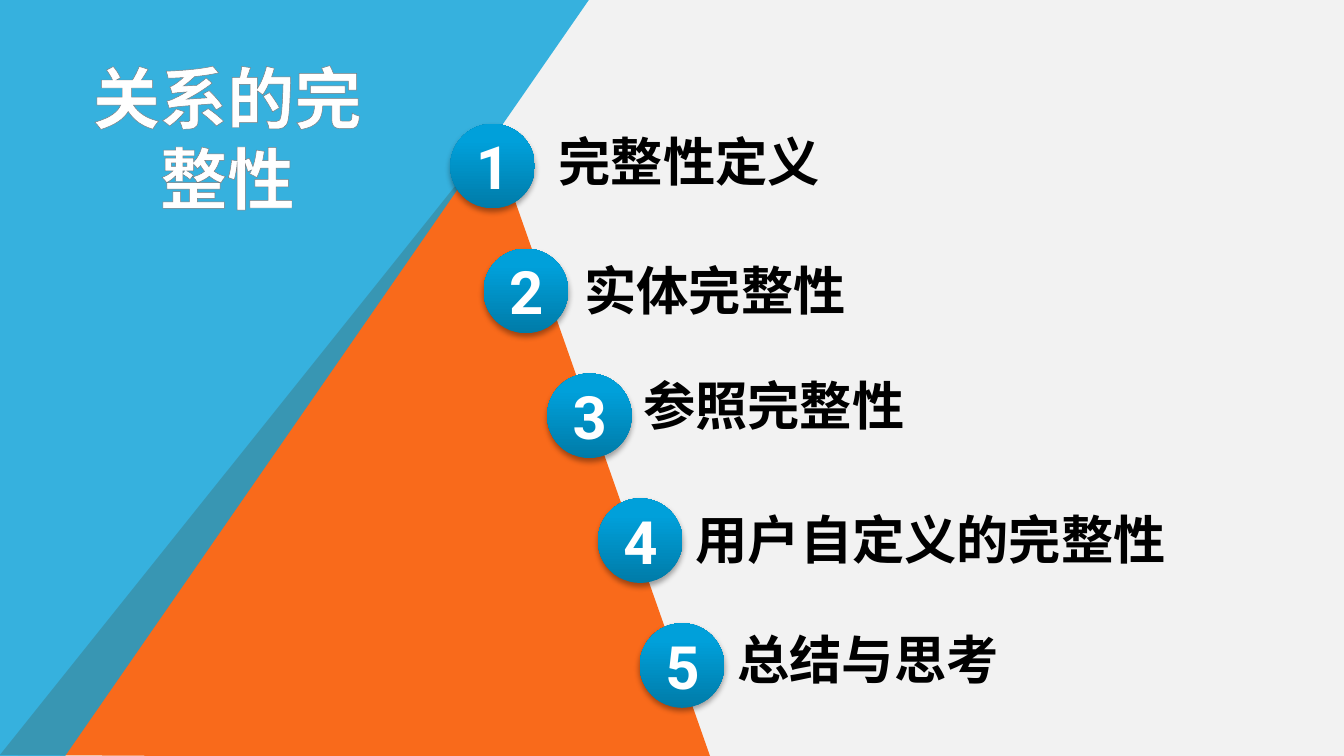
from copy import deepcopy

from lxml import etree
from pptx import Presentation
from pptx.dml.color import RGBColor
from pptx.enum.shapes import MSO_SHAPE
from pptx.enum.text import MSO_ANCHOR, PP_ALIGN
from pptx.oxml import parse_xml
from pptx.oxml.ns import qn
from pptx.util import Cm, Pt

OVAL = MSO_SHAPE.OVAL
MIDDLE = MSO_ANCHOR.MIDDLE
CENTER = PP_ALIGN.CENTER
LEFT = PP_ALIGN.LEFT
NAMESPACE = 'xmlns:a="http://schemas.openxmlformats.org/drawingml/2006/main"'

# Content: title, then (text, circle left, label left, label top, label width) in cm
TITLE = "关系的完整性"
TOPICS = [
    ("完整性定义", 8.51, 10.31, 2.31, 7.39),
    ("实体完整性", 9.14, 10.8, 4.75, 5.69),
    ("参照完整性", 10.34, 11.91, 6.93, 7.01),
    ("用户自定义的完整性", 11.3, 12.9, 9.47, 9.8),
    ("总结与思考", 12.09, 13.69, 11.73, 5.59),
]
ORANGE_PEAK = [(0, 14.27), (9.32, 2.62), (13.44, 14.35)]
BLUE_PANEL = [(-0.03, 14.38), (-0.03, -0.03), (11.15, -0.03), (1.19, 14.35)]

SLIDE_WIDTH, SLIDE_HEIGHT = 25.4, 14.29
CIRCLE_SIZE, CIRCLE_TOP, CIRCLE_STEP = 1.6, 2.34, 2.36
LABEL_HEIGHT = 1.45


class Theme:
    background = "F2F2F2"
    orange = "F96A1B"
    blue = "08A1D9"
    blue_opacity = 80
    circle_stops = [(0, "007BA8"), (0.8, "00A0DA"), (1, "00A0DB")]
    white = "FFFFFF"
    black = "000000"
    title_outline = "797B7E"
    title_font = "Noto Sans CJK JP"
    label_font = "Noto Sans CJK SC"
    number_font = "Roboto"
    title_size = 36
    number_size = 32
    label_size = 28


def color(value):
    return RGBColor.from_string(value)


def add_panel(slide, points, fill):
    corners = [(Cm(x), Cm(y)) for x, y in points]
    builder = slide.shapes.build_freeform(*corners[0])
    builder.add_line_segments(corners[1:], close=True)
    shape = builder.convert_to_shape()
    shape.shadow.inherit = False
    shape.fill.solid()
    shape.fill.fore_color.rgb = color(fill)
    shape.line.fill.background()
    return shape


def write(shape, text, font_name, size, fill, alignment=LEFT):
    text_frame = shape.text_frame
    text_frame.word_wrap = True
    text_frame.text = text
    paragraph = text_frame.paragraphs[0]
    paragraph.alignment = alignment
    run = paragraph.runs[0]
    run.font.name = font_name
    run.font.size = Pt(size)
    run.font.bold = True
    run.font.color.rgb = color(fill)
    properties = run.font._element
    etree.SubElement(properties, qn("a:ea"), typeface=font_name)
    return properties


def add_text(slide, left, top, width, height, *style):
    box = slide.shapes.add_textbox(Cm(left), Cm(top), Cm(width), Cm(height))
    return write(box, *style)


def add_circle(slide, left, top, number):
    circle = slide.shapes.add_shape(
        OVAL, Cm(left), Cm(top), Cm(CIRCLE_SIZE), Cm(CIRCLE_SIZE))
    circle.line.fill.background()

    # Three-stop gradient, dark at the bottom
    circle.fill.gradient()
    circle.fill.gradient_angle = 90
    stop_list = circle._element.spPr.find(".//" + qn("a:gsLst"))
    stop_list.append(deepcopy(stop_list[-1]))
    for stop, (position, fill) in zip(circle.fill.gradient_stops, Theme.circle_stops):
        stop.position = position
        stop.color.rgb = color(fill)

    # Soft shadow below
    circle.shadow.inherit = False
    circle._element.spPr.find(qn("a:effectLst")).append(parse_xml(
        f'<a:outerShdw {NAMESPACE} blurRad="{Pt(3.1)}" dist="{Pt(1.8)}" '
        f'dir="5400000" rotWithShape="0"><a:srgbClr val="{Theme.black}">'
        '<a:alpha val="35000"/></a:srgbClr></a:outerShdw>'))

    write(circle, str(number), Theme.number_font, Theme.number_size,
          Theme.white, CENTER)
    circle.text_frame.vertical_anchor = MIDDLE


def main():
    presentation = Presentation()
    presentation.slide_width = Cm(SLIDE_WIDTH)
    presentation.slide_height = Cm(SLIDE_HEIGHT)
    slide = presentation.slides.add_slide(presentation.slide_layouts[6])
    slide.background.fill.solid()
    slide.background.fill.fore_color.rgb = color(Theme.background)

    # Background panels
    add_panel(slide, ORANGE_PEAK, Theme.orange)
    panel = add_panel(slide, BLUE_PANEL, Theme.blue)
    panel_color = panel._element.spPr.find(qn("a:solidFill"))[0]
    etree.SubElement(panel_color, qn("a:alpha"), val=str(Theme.blue_opacity * 1000))

    # Numbered topics
    for index, (text, circle_left, left, top, width) in enumerate(TOPICS):
        add_circle(slide, circle_left, CIRCLE_TOP + index * CIRCLE_STEP, index + 1)
        add_text(slide, left, top, width, LABEL_HEIGHT, text,
                 Theme.label_font, Theme.label_size, Theme.black)

    # Title with a thin outline
    title = add_text(slide, 1.3, 0.94, 5.99, 3.33, TITLE, Theme.title_font,
                     Theme.title_size, Theme.white, CENTER)
    title.insert(0, parse_xml(
        f'<a:ln {NAMESPACE} w="{Pt(0.8)}"><a:solidFill>'
        f'<a:srgbClr val="{Theme.title_outline}"/></a:solidFill></a:ln>'))

    presentation.save("out.pptx")


if __name__ == "__main__":
    main()
